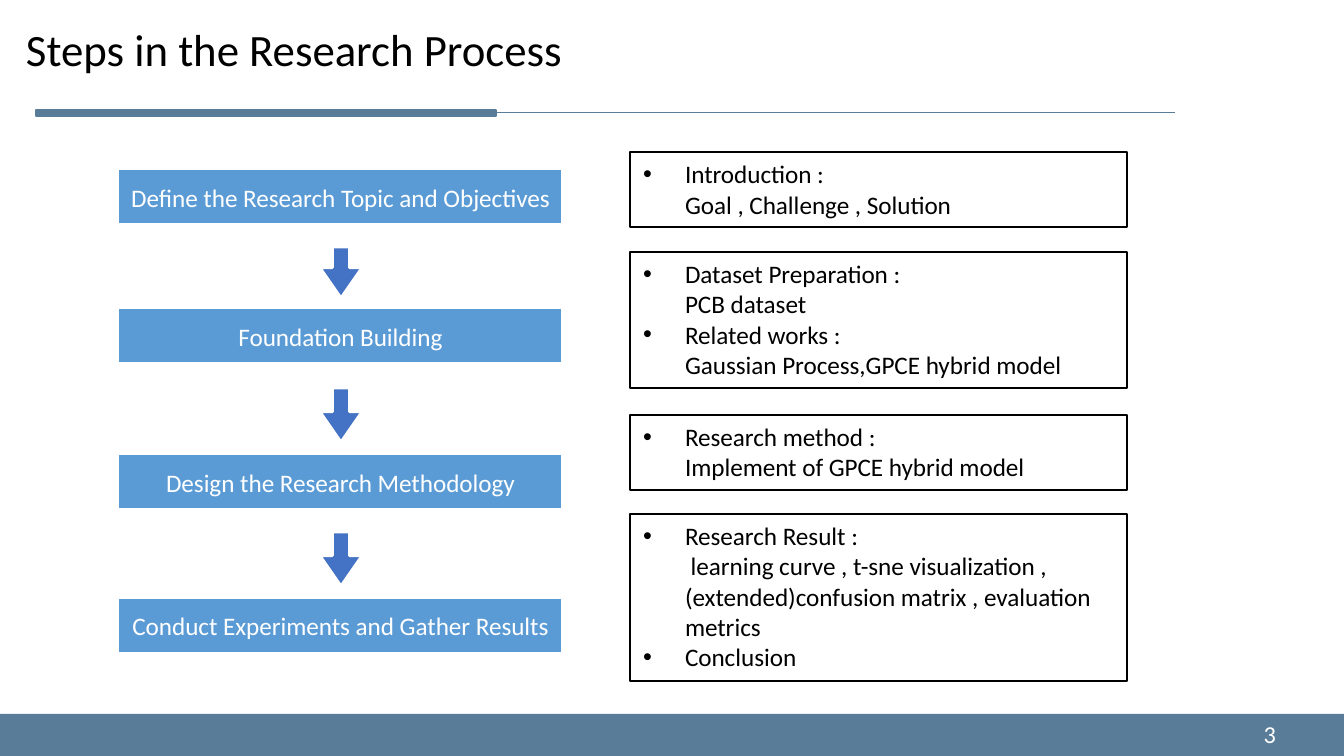
from copy import deepcopy
from typing import NamedTuple

from lxml.etree import SubElement
from pptx import Presentation
from pptx.dml.color import RGBColor
from pptx.enum.shapes import MSO_CONNECTOR, MSO_SHAPE
from pptx.enum.text import MSO_ANCHOR, PP_ALIGN
from pptx.oxml.ns import qn
from pptx.util import Emu, Pt

WIDE, HIGH = 1344, 756
SCALE = 9144000 / WIDE

SLATE = RGBColor(0x59, 0x7D, 0x98)
SKY = RGBColor(0x5B, 0x9B, 0xD5)
BLUE = RGBColor(0x44, 0x72, 0xC4)
WHITE = RGBColor(0xFF, 0xFF, 0xFF)
BLACK = RGBColor(0, 0, 0)


class Box(NamedTuple):
    left: int
    top: int
    width: int
    height: int


class Step(NamedTuple):
    top: int
    text: str


class Note(NamedTuple):
    top: int
    height: int
    items: list[str]


STEPS = [
    Step(169, "Define the Research Topic and Objectives"),
    Step(308, "Foundation Building"),
    Step(454, "Design the Research Methodology"),
    Step(598, "Conduct Experiments and Gather Results"),
]
ARROWS = [Box(320, 247, 42, 51), Box(320, 388, 42, 54), Box(320, 532, 42, 54)]
NOTES = [
    Note(152, 75, ["Introduction :\nGoal , Challenge , Solution"]),
    Note(252, 136, ["Dataset Preparation :\nPCB dataset",
                    "Related works :\nGaussian Process,GPCE hybrid model"]),
    Note(415, 75, ["Research method :\nImplement of GPCE hybrid model"]),
    Note(514, 167, ["Research Result :\n learning curve , t-sne visualization , "
                    "(extended)confusion matrix , evaluation metrics",
                    "Conclusion"]),
]


def px(size: int) -> Emu:
    return Emu(round(size * SCALE))


def place(box: Box) -> list[Emu]:
    return [px(size) for size in box]


def draw(slide, kind, box: Box, fill: RGBColor, line=None, weight=1.0):
    shape = slide.shapes.add_shape(kind, *place(box))
    shape.shadow.inherit = False
    shape.fill.solid()
    shape.fill.fore_color.rgb = fill
    if line is None:
        shape.line.fill.background()
    else:
        shape.line.color.rgb = line
        shape.line.width = Pt(weight)
    return shape


def bullet(para, indent: int) -> None:
    props = para._p.get_or_add_pPr()
    props.set("marL", str(px(indent)))
    props.set("indent", str(-px(indent)))
    SubElement(props, qn("a:buFont")).set("typeface", "Arial")
    SubElement(props, qn("a:buChar")).set("char", "•")


def write(shape, items: list[str], *, size=13.5, color=BLACK, align=PP_ALIGN.LEFT,
          anchor=MSO_ANCHOR.TOP, side=13, indent=0) -> None:
    frame = shape.text_frame
    frame.word_wrap = True
    frame.vertical_anchor = anchor
    frame.margin_left = frame.margin_right = px(side)
    for num, item in enumerate(items):
        para = frame.add_paragraph() if num else frame.paragraphs[0]
        para.text = item
        para.alignment = align
        if indent:
            bullet(para, indent)
        for run in para.runs:
            run.font.name = "Calibri"
            run.font.size = Pt(size)
            run.font.color.rgb = color
        # Line breaks take the format of the text around them
        for gap in para._p.findall(qn("a:br")):
            gap.append(deepcopy(para.runs[0].font._element))


def rule(slide, left: int, right: int, top: int) -> None:
    line = slide.shapes.add_connector(
        MSO_CONNECTOR.STRAIGHT, px(right), px(top), px(left), px(top))
    line.line.color.rgb = SLATE
    line.line.width = Pt(0.5)
    SubElement(line._element.spPr, qn("a:effectLst"))


def main() -> None:
    deck = Presentation()
    deck.slide_width, deck.slide_height = px(WIDE), px(HIGH)
    slide = deck.slides.add_slide(deck.slide_layouts[6])

    # Footer band and heading
    draw(slide, MSO_SHAPE.RECTANGLE, Box(0, 714, WIDE, 42), SLATE)
    rule(slide, 36, 1175, 113)
    draw(slide, MSO_SHAPE.RECTANGLE, Box(36, 110, 460, 6), SLATE, SLATE)
    title = slide.shapes.add_textbox(*place(Box(13, 15, 1028, 67)))
    write(title, ["Steps in the Research Process"], size=24)

    # Steps on the left, joined by arrows
    for step in STEPS:
        shape = draw(slide, MSO_SHAPE.RECTANGLE, Box(118, step.top, 445, 56),
                     SKY, WHITE, 1.5)
        write(shape, [step.text], color=WHITE, align=PP_ALIGN.CENTER,
              anchor=MSO_ANCHOR.MIDDLE, side=7)
    for box in ARROWS:
        arrow = draw(slide, MSO_SHAPE.DOWN_ARROW, box, BLUE, WHITE, 1.5)
        arrow.adjustments[0] = 0.41
        arrow.adjustments[1] = 0.72

    # Notes on the right
    for note in NOTES:
        shape = draw(slide, MSO_SHAPE.RECTANGLE,
                     Box(630, note.top, 497, note.height), WHITE, BLACK)
        write(shape, note.items, indent=42)

    # Page number
    page = slide.shapes.add_textbox(*place(Box(986, 713, 303, 41)))
    write(page, ["3"], size=13, color=WHITE, align=PP_ALIGN.RIGHT,
          anchor=MSO_ANCHOR.MIDDLE)

    deck.save("out.pptx")


if __name__ == "__main__":
    main()
